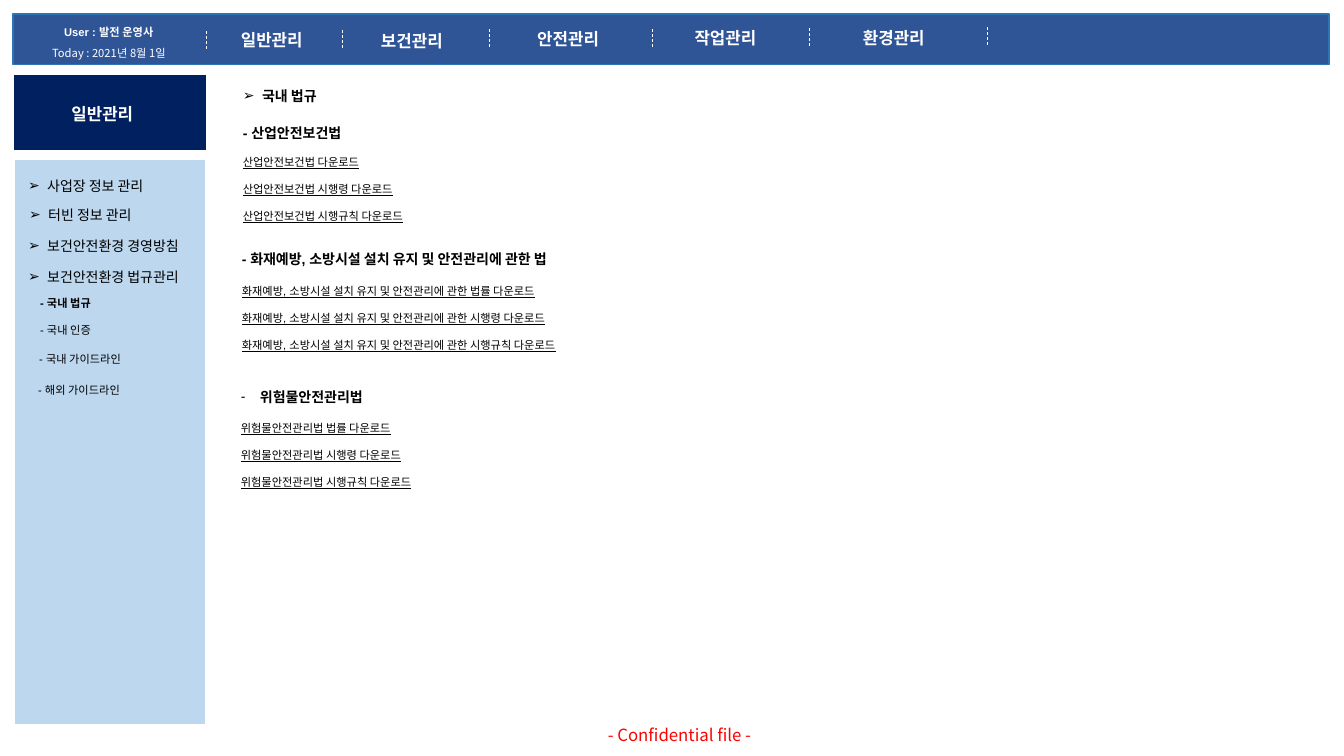
from dataclasses import dataclass

from lxml import etree
from pptx import Presentation
from pptx.dml.color import RGBColor
from pptx.enum.dml import MSO_LINE
from pptx.enum.shapes import MSO_CONNECTOR, MSO_SHAPE
from pptx.enum.text import MSO_ANCHOR, MSO_AUTO_SIZE, PP_ALIGN
from pptx.oxml.ns import qn
from pptx.util import Inches, Pt


@dataclass(frozen=True)
class Theme:
    """Colours, fonts and type sizes of the slide."""
    white: str = "FFFFFF"
    black: str = "000000"
    red: str = "FF0000"
    navy: str = "002060"
    bar: str = "2F5597"
    bar_edge: str = "2E75B6"
    sidebar: str = "BDD7EE"
    font: str = "Arial"
    korean_font: str = "Noto Sans CJK KR"
    heading: float = 12
    item: float = 10
    small: float = 8
    link_pitch: float = 19.2


THEME = Theme()
HEADING = {"size": THEME.heading, "color": THEME.white, "bold": True}
SECTION = {"size": THEME.item, "bold": True}
ITEM = {"size": THEME.item}
SMALL = {"size": THEME.small}
LINK = {"size": THEME.small, "underline": True}

NAVIGATION = [("일반관리", 2.29, 0.25), ("보건관리", 3.68, 0.26), ("안전관리", 5.23, 0.24),
              ("작업관리", 6.79, 0.23), ("환경관리", 8.46, 0.23)]
DIVIDERS = [(2.05, 0.31), (3.4, 0.3), (4.85, 0.29), (6.47, 0.29), (8.03, 0.28), (9.79, 0.27)]
MENU = [("사업장 정보 관리", 0.18, 1.71), ("터빈 정보 관리", 0.19, 2),
        ("보건안전환경 경영방침", 0.18, 2.31), ("보건안전환경 법규관리", 0.18, 2.61)]
SUBMENU = [("- 국내 법규", 0.3, 2.89, True), ("- 국내 인증", 0.3, 3.16, False),
           ("- 국내 가이드라인", 0.29, 3.45, False), ("- 해외 가이드라인", 0.28, 3.75, False)]
FIRE_LAW = "화재예방, 소방시설 설치 유지 및 안전관리에 관한"
LAWS = [
    ("- 산업안전보건법", None, (2.31, 1.19, 5.4, 1.25), 0,
     ["산업안전보건법", "산업안전보건법 시행령", "산업안전보건법 시행규칙"]),
    (f"- {FIRE_LAW} 법", None, (2.3, 2.44, 5.4, 1.3), 2.5,
     [f"{FIRE_LAW} {kind}" for kind in ("법률", "시행령", "시행규칙")]),
    ("위험물안전관리법", "-", (2.29, 3.8, 5.4, 1.11), 2.5,
     [f"위험물안전관리법 {kind}" for kind in ("법률", "시행령", "시행규칙")]),
]


def inches(values):
    """Convert a sequence of numbers to lengths."""
    return [Inches(value) for value in values]


def set_format(target, values):
    """Set each attribute named in a dict of values."""
    for name, value in values.items():
        setattr(target, name, value)


def add_bullet(paragraph, symbol):
    """Give a paragraph a hanging bullet."""
    properties = paragraph._p.get_or_add_pPr()
    properties.set("marL", str(Inches(0.19)))
    properties.set("indent", str(-Inches(0.19)))
    etree.SubElement(properties, qn("a:buFont")).set("typeface", THEME.font)
    etree.SubElement(properties, qn("a:buChar")).set("char", symbol)


def write(paragraph, text, style, bullet=None, **layout):
    """Write one styled paragraph."""
    if bullet:
        add_bullet(paragraph, bullet)
    set_format(paragraph, {"alignment": PP_ALIGN.LEFT, **layout})
    run = paragraph.add_run()
    run.text = text
    values = {"name": THEME.font, "bold": False, **style, "size": Pt(style["size"])}
    run.font.color.rgb = RGBColor.from_string(values.pop("color", THEME.black))
    set_format(run.font, values)


def prepare_frame(frame):
    """Set the wrapping, anchor and margins of a text frame."""
    set_format(frame, {"word_wrap": True, "auto_size": MSO_AUTO_SIZE.SHAPE_TO_FIT_TEXT,
                       "vertical_anchor": MSO_ANCHOR.TOP,
                       "margin_left": Inches(0.1), "margin_right": Inches(0.1),
                       "margin_top": Inches(0.05), "margin_bottom": Inches(0.05)})


def add_label(slide, box, text, style, bullet=None, **layout):
    """Add a text box with one paragraph and return its frame."""
    frame = slide.shapes.add_textbox(*inches(box)).text_frame
    prepare_frame(frame)
    write(frame.paragraphs[0], text, style, bullet, **layout)
    return frame


def add_panel(slide, box, fill, edge, width):
    """Add a filled rectangle."""
    panel = slide.shapes.add_shape(MSO_SHAPE.RECTANGLE, *inches(box))
    panel.shadow.inherit = False
    panel.fill.solid()
    panel.fill.fore_color.rgb = RGBColor.from_string(fill)
    panel.line.color.rgb = RGBColor.from_string(edge)
    panel.line.width = Pt(width)


def add_divider(slide, left, top):
    """Add a short dashed line between navigation entries."""
    divider = slide.shapes.add_connector(
        MSO_CONNECTOR.STRAIGHT, *inches((left, top, left, top + 0.19)))
    divider.line.color.rgb = RGBColor.from_string(THEME.white)
    set_format(divider.line, {"width": Pt(0.5), "dash_style": MSO_LINE.DASH})
    etree.SubElement(divider._element.spPr, qn("a:effectLst"))


def add_title(slide, text):
    """Place the page title in its placeholder."""
    title = slide.shapes.title
    set_format(title, dict(zip(("left", "top", "width", "height"),
                               inches((2.31, 0.82, 5.4, 0.27)))))
    prepare_frame(title.text_frame)
    write(title.text_frame.paragraphs[0], text, SECTION, "➢")


def add_law(slide, heading, bullet, box, gap, documents):
    """Add a law heading with its download links."""
    frame = add_label(slide, box, heading, SECTION, bullet)
    for index, document in enumerate(documents):
        write(frame.add_paragraph(), f"{document} 다운로드", LINK,
              line_spacing=Pt(THEME.link_pitch), space_before=Pt(0 if index else gap))


def add_header(slide):
    """Add the top bar with user details and navigation."""
    add_panel(slide, (0.13, 0.14, 13.05, 0.5), THEME.bar, THEME.bar_edge, 1)
    for left, top in DIVIDERS:
        add_divider(slide, left, top)
    for text, left, top in NAVIGATION:
        add_label(slide, (left, top, 0.98, 0.3), text, HEADING)
    centred = {"alignment": PP_ALIGN.CENTER, "line_spacing": 1.5}
    user_style = {**SMALL, "color": THEME.white}
    frame = add_label(slide, (0.31, 0.14, 1.54, 0.48), "User : 발전 운영사",
                      {**user_style, "bold": True}, **centred)
    write(frame.add_paragraph(), "Today : 2021년 8월 1일",
          {**user_style, "name": THEME.korean_font}, **centred)


def add_sidebar(slide):
    """Add the section panel and its menu."""
    add_panel(slide, (0.13, 0.73, 1.92, 0.77), THEME.navy, THEME.white, 1.5)
    add_panel(slide, (0.14, 1.58, 1.9, 5.61), THEME.sidebar, THEME.white, 1.5)
    add_label(slide, (0.61, 0.98, 0.98, 0.3), "일반관리", HEADING)
    for text, left, top in MENU:
        add_label(slide, (left, top, 1.9, 0.27), text, ITEM, "➢")
    for text, left, top, selected in SUBMENU:
        add_label(slide, (left, top, 1.9, 0.24), text, {**SMALL, "bold": selected})


def main():
    """Build and save the slide."""
    deck = Presentation()
    set_format(deck, {"slide_width": Inches(13.33), "slide_height": Inches(7.5)})
    slide = deck.slides.add_slide(deck.slide_layouts.get_by_name("Title Only"))
    add_title(slide, "국내 법규")
    add_sidebar(slide)
    for law in LAWS:
        add_law(slide, *law)
    add_header(slide)
    add_label(slide, (5.93, 7.14, 3.17, 0.3), "- Confidential file -",
              {"size": THEME.heading, "color": THEME.red, "name": THEME.korean_font})
    deck.save("out.pptx")


if __name__ == "__main__":
    main()
